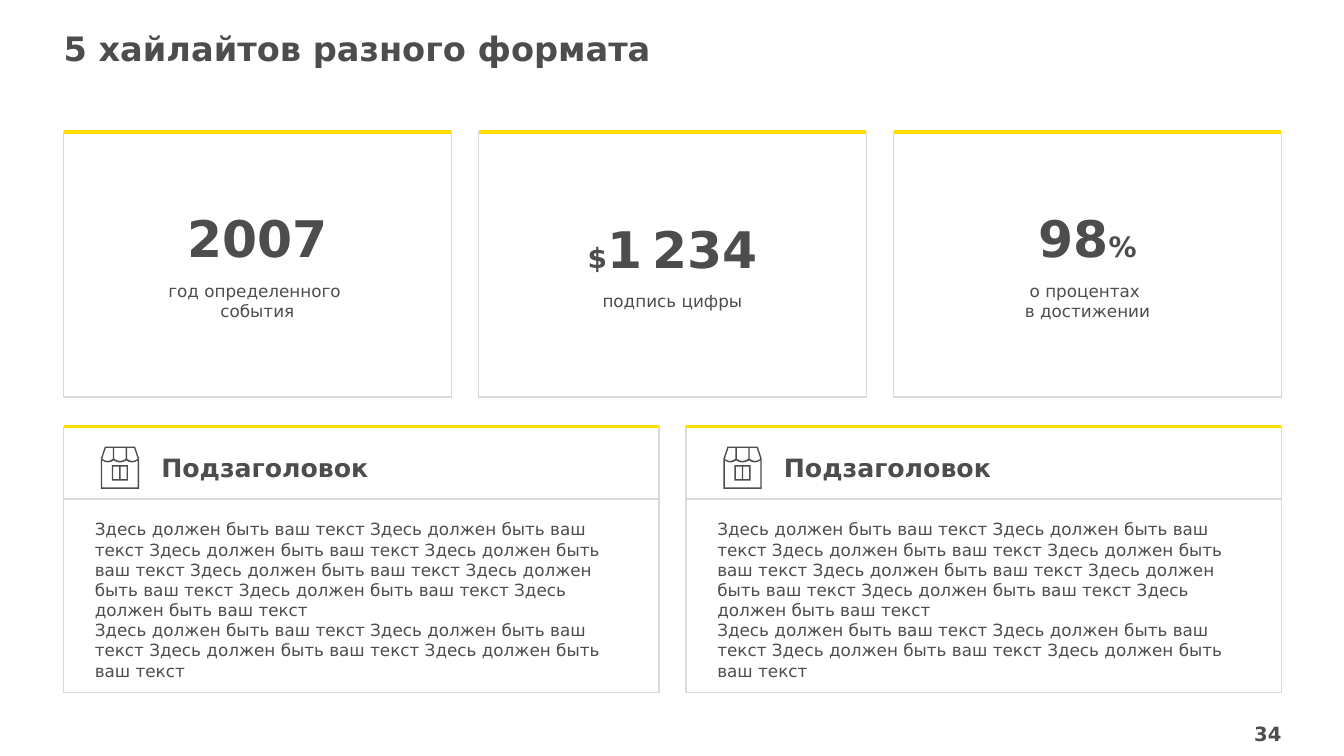
"""Build the slide with three key figures and two text panels."""
from lxml import etree
from pptx import Presentation
from pptx import util as u
from pptx.dml.color import RGBColor
from pptx.enum import shapes, text
from pptx.oxml.ns import qn

TITLE = "5 хайлайтов разного формата"
PAGE = "34"
PHRASE = "Здесь должен быть ваш текст"
BODY = "\n".join(" ".join([PHRASE] * n) for n in (8, 4))
FIGURES = [
    {"top": 2.06, "value": [("2007", "figure")], "label": "год определенного \nсобытия"},
    {"top": 2.16, "label": "подпись цифры",
     "value": [("$", "unit"), ("1", "figure"), (" ", "unit"), ("234", "figure")]},
    {"top": 2.06, "value": [("98", "figure"), ("%", "unit")], "label": "о процентах \nв достижении"},
]
PANELS = [("Подзаголовок", BODY), ("Подзаголовок", BODY)]

THEME = {
    "font": "DejaVu Sans",
    "ink": RGBColor.from_string("4D4D4F"),
    "border": RGBColor.from_string("D9D9D9"),
    "accent": RGBColor.from_string("FFDD00"),
    "sizes": {"title": 24, "figure": 36, "unit": 20, "heading": 18, "page": 14, "body": 12},
}
LEFT, RIGHT, GAP = 0.63, 12.71, 0.27
FIGURE_TOP, FIGURE_H = 1.31, 2.63
PANEL_TOP, PANEL_H, HEADER_H = 4.23, 2.64, 0.72


def columns(count):
    """Return the left edges and the common width of equal columns."""
    width = (RIGHT - LEFT - GAP * (count - 1)) / count
    return [LEFT + i * (width + GAP) for i in range(count)], width


def add_text(p, content, style):
    """Append text with its line breaks in a named style."""
    values = {"name": THEME["font"], "size": u.Pt(THEME["sizes"][style]), "bold": style != "body"}
    for i, line in enumerate(content.split("\n")):
        if i:
            p.add_line_break()
        r = p.add_run()
        r.text = line
        for name, value in values.items():
            setattr(r.font, name, value)
        r.font.color.rgb = THEME["ink"]


def set_frame(tf, anchor=text.MSO_ANCHOR.TOP):
    """Clear the margins and set wrapping and anchor."""
    values = {"margin_left": 0, "margin_top": 0, "margin_right": 0, "margin_bottom": 0,
              "word_wrap": True, "auto_size": text.MSO_AUTO_SIZE.NONE, "vertical_anchor": anchor}
    for name, value in values.items():
        setattr(tf, name, value)


def add_box(s, box, paragraphs, align=text.PP_ALIGN.LEFT, anchor=text.MSO_ANCHOR.TOP):
    """Add a text box whose paragraphs are lists of styled runs."""
    tf = s.shapes.add_textbox(*map(u.Inches, box)).text_frame
    set_frame(tf, anchor)
    for i, runs in enumerate(paragraphs):
        p = tf.add_paragraph() if i else tf.paragraphs[0]
        p.alignment = align
        p.space_after = u.Pt(9 if i < len(paragraphs) - 1 else 0)
        for content, style in runs:
            add_text(p, content, style)


def add_rule(s, x, y, width, color, weight):
    """Add a horizontal line."""
    sp = s.shapes.add_connector(shapes.MSO_CONNECTOR.STRAIGHT,
                                *map(u.Inches, (x, y, x + width, y)))
    sp.line.color.rgb = THEME[color]
    sp.line.width = u.Pt(weight)
    etree.SubElement(sp._element.spPr, qn("a:effectLst"))


def add_card(s, x, y, width, height):
    """Add an outlined card with an accent line on top."""
    sp = s.shapes.add_shape(shapes.MSO_SHAPE.RECTANGLE, *map(u.Inches, (x, y, width, height)))
    sp.shadow.inherit = False
    sp.fill.background()
    sp.line.color.rgb = THEME["border"]
    sp.line.width = u.Pt(1)
    add_rule(s, x, y, width, "accent", 2.25)


def rect(x0, y0, x1, y1):
    """Return the corners of a rectangle."""
    return [(x0, y0), (x1, y0), (x1, y1), (x0, y1)]


def scallop(x0, x1, y, depth=20, steps=10):
    """Return points along a hanging arc."""
    ts = [i / steps for i in range(steps + 1)]
    return [(x0 + (x1 - x0) * t, y + 4 * depth * t * (1 - t)) for t in ts]


def add_shop(s, x, y):
    """Draw the shop icon from contours in thousandths of an inch."""
    facade = [
        [(0, 120), (40, 0), (340, 0), (380, 120), (380, 420), (0, 420)],
        [(119, 14), (50, 14)] + scallop(14, 119, 122),
        [(247, 14), (133, 14)] + scallop(133, 247, 122),
        [(330, 14), (261, 14)] + scallop(261, 366, 122),
        scallop(14, 126, 137) + scallop(126, 254, 137) + scallop(254, 366, 137)
        + [(366, 406), (14, 406)],
    ]
    window = [rect(110, 185, 270, 338), rect(124, 199, 183, 324), rect(197, 199, 256, 324)]
    group = s.shapes.add_group_shape()
    for contours in (facade, window):
        start, *rest = contours[0]
        fb = group.shapes.build_freeform(*start, scale=u.Inches(1) / 1000)
        fb.add_line_segments(rest, close=True)
        for start, *rest in contours[1:]:
            fb.move_to(*start)
            fb.add_line_segments(rest, close=True)
        sp = fb.convert_to_shape(u.Inches(x), u.Inches(y))
        sp.shadow.inherit = False
        sp.fill.solid()
        sp.fill.fore_color.rgb = THEME["ink"]
        sp.line.fill.background()


def main():
    """Assemble and save the slide."""
    prs = Presentation()
    prs.slide_width, prs.slide_height = u.Inches(13.33), u.Inches(7.5)
    s = prs.slides.add_slide(prs.slide_layouts[5])

    title = s.shapes.title
    for name, value in zip(("left", "top", "width", "height"), (LEFT, 0.28, 10.94, 0.4)):
        setattr(title, name, u.Inches(value))
    set_frame(title.text_frame)
    p = title.text_frame.paragraphs[0]
    p.alignment = text.PP_ALIGN.LEFT
    add_text(p, TITLE, "title")

    lefts, width = columns(len(FIGURES))
    for x, figure in zip(lefts, FIGURES):
        add_card(s, x, FIGURE_TOP, width, FIGURE_H)
        add_box(s, (x + 0.58, figure["top"], width - 1.16, 1.14),
                [figure["value"], [(figure["label"], "body")]], text.PP_ALIGN.CENTER)

    lefts, width = columns(len(PANELS))
    for x, (heading, body) in zip(lefts, PANELS):
        add_card(s, x, PANEL_TOP, width, PANEL_H)
        add_rule(s, x, PANEL_TOP + HEADER_H, width, "border", 1)
        add_shop(s, x + 0.37, PANEL_TOP + 0.2)
        add_box(s, (x + 0.97, PANEL_TOP + 0.26, 4.63, 0.3), [[(heading, "heading")]],
                anchor=text.MSO_ANCHOR.MIDDLE)
        add_box(s, (x + 0.31, PANEL_TOP + 0.92, 5.36, 1.62), [[(body, "body")]])

    add_box(s, (RIGHT - 0.57, 7.16, 0.57, 0.24), [[(PAGE, "page")]],
            text.PP_ALIGN.RIGHT, text.MSO_ANCHOR.MIDDLE)
    prs.save("out.pptx")


if __name__ == "__main__":
    main()
